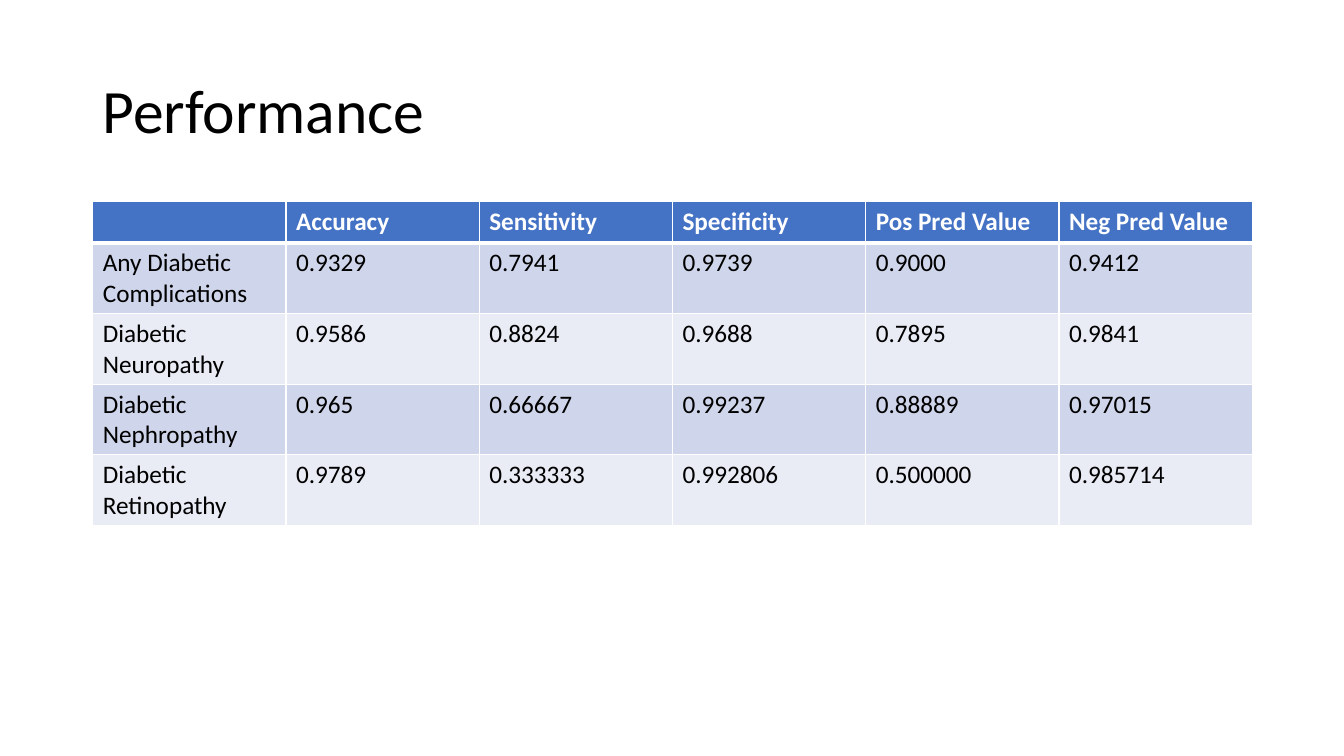
from lxml import etree
from pptx import Presentation
from pptx.dml.color import RGBColor
from pptx.enum.text import MSO_ANCHOR
from pptx.oxml.ns import qn
from pptx.util import Inches, Pt

MIDDLE = MSO_ANCHOR.MIDDLE
FONT = "Calibri"
COLORS = {
    "text": "000000",
    "white": "FFFFFF",
    "header": "4472C4",
    "odd_row": "CFD5EA",
    "even_row": "E9EBF5",
}
RESULTS = [
    ["", "Accuracy", "Sensitivity", "Specificity", "Pos Pred Value", "Neg Pred Value"],
    ["Any Diabetic Complications", "0.9329", "0.7941", "0.9739", "0.9000", "0.9412"],
    ["Diabetic Neuropathy", "0.9586", "0.8824", "0.9688", "0.7895", "0.9841"],
    ["Diabetic Nephropathy", "0.965", "0.66667", "0.99237", "0.88889", "0.97015"],
    ["Diabetic Retinopathy", "0.9789", "0.333333", "0.992806", "0.500000", "0.985714"],
]
LEFT, WIDTH = Inches(0.92), Inches(11.5)


def style_text(paragraph, size, color, bold=False):
    paragraph.font.size = Pt(size)
    for run in paragraph.runs:
        run.font.name = FONT
        run.font.size = Pt(size)
        run.font.bold = bold
        run.font.color.rgb = RGBColor.from_string(COLORS[color])


def add_border(cell, side, points):
    line = etree.SubElement(cell._tc.get_or_add_tcPr(), qn(f"a:{side}"), w=str(Pt(points)))
    fill = etree.SubElement(line, qn("a:solidFill"))
    etree.SubElement(fill, qn("a:srgbClr"), val=COLORS["white"])


prs = Presentation()
prs.slide_width, prs.slide_height = Inches(13.33), Inches(7.5)
slide = prs.slides.add_slide(prs.slide_layouts[6])

title = slide.shapes.add_textbox(LEFT, Inches(0.4), WIDTH, Inches(1.45)).text_frame
title.word_wrap = True
title.vertical_anchor = MIDDLE
title.text = "Performance"
title.paragraphs[0].line_spacing = 0.9
style_text(title.paragraphs[0], 44, "text")

performance = slide.shapes.add_table(
    len(RESULTS), len(RESULTS[0]), LEFT, Inches(2), WIDTH, Inches(3.21)
).table

for row_index, values in enumerate(RESULTS):
    is_header = row_index == 0
    performance.rows[row_index].height = Inches(0.41 if is_header else 0.7)
    if is_header:
        row_fill = "header"
    else:
        row_fill = "odd_row" if row_index % 2 else "even_row"
    for column_index, value in enumerate(values):
        cell = performance.cell(row_index, column_index)
        cell.text = value
        style_text(cell.text_frame.paragraphs[0], 18, "white" if is_header else "text", is_header)
        for side in ("lnL", "lnR", "lnT", "lnB"):
            header_edge = (is_header and side == "lnB") or (row_index == 1 and side == "lnT")
            add_border(cell, side, 3 if header_edge else 1)
        cell.fill.solid()
        cell.fill.fore_color.rgb = RGBColor.from_string(COLORS[row_fill])

prs.save("out.pptx")
